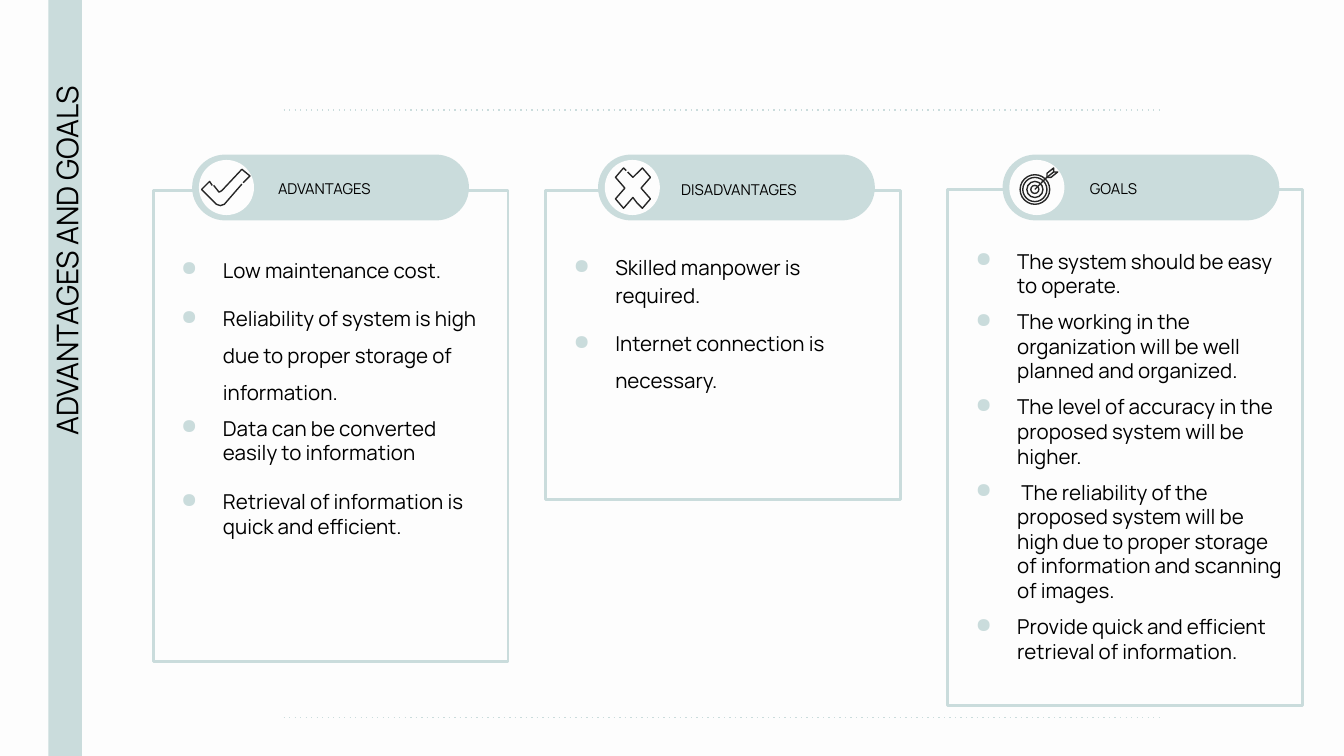
from lxml.etree import SubElement
from pptx import Presentation
from pptx.dml.color import RGBColor
from pptx.enum.shapes import MSO_CONNECTOR, MSO_SHAPE
from pptx.enum.text import MSO_ANCHOR, PP_ALIGN
from pptx.oxml.ns import qn
from pptx.util import Emu, Inches, Pt

PX = 9144  # EMU per px, 100 px to the inch
SAGE = RGBColor(0xCA, 0xDC, 0xDC)
PAPER = RGBColor(0xFD, 0xFD, 0xFD)
INK = RGBColor(0x26, 0x26, 0x26)
BLACK = RGBColor(0, 0, 0)

CARD_WIDTH, BODY_WIDTH, BODY_SHIFT = 264, 271, 8
BADGE_WIDTH, BADGE_HEIGHT, DISC_SIZE = 206, 49, 41
ICON_LINE = 0.75

CHECK_STROKES = [
    [(158, 138), (156, 135), (150, 141), (161, 152), (164, 153), (167, 152), (180, 137)],
    [(159, 138), (163, 143), (165, 142), (180, 126), (186, 131), (181, 136)],
]
CROSS_STROKES = [
    [(467, 128), (471, 132), (478, 125), (484, 132), (477, 140), (484, 148),
     (478, 155), (474, 151)],
    [(466, 127), (464, 125), (458, 132), (465, 140), (458, 148), (464, 155),
     (471, 147), (474, 151)],
]
ARROW_STROKES = [
    [(770, 141), (779, 132), (784, 128)],
    [(779, 132), (779, 129), (784, 125), (784, 128), (787, 128), (782, 132), (779, 132)],
]
TARGET_CENTER, TARGET_RADII = (770, 141), (11, 9, 6, 3)

SINGLE = {"space_after": Pt(6)}
LOOSE = {"line_spacing": 1.15, "space_after": Pt(6)}
WIDE = {"line_spacing": 1.5, "space_after": Pt(6)}

# Each card: heading and its place, frame, badge and body places, bullets
CARDS = [
    {"heading": "ADVANTAGES", "heading_at": (197, 127), "frame": (114, 142, 350),
     "badge": (143, 115), "body": (179, 304), "bullets": [
         ("Low maintenance cost.", LOOSE),
         ("Reliability of system is high due to proper storage of information.", WIDE),
         ("Data can be converted easily to information", {}),
         ("Retrieval of information is quick and efficient.", {"space_before": Pt(13)})]},
    {"heading": "DISADVANTAGES", "heading_at": (497, 128), "frame": (406, 142, 230),
     "badge": (445, 115), "body": (177, 304), "bullets": [
         ("Skilled manpower is required.", LOOSE),
         ("Internet connection is necessary.", WIDE)]},
    {"heading": "GOALS", "heading_at": (801, 127), "frame": (705, 141, 384),
     "badge": (746, 115), "body": (175, 323), "bullets": [
         ("The system should be easy to operate.", SINGLE),
         ("The working in the organization will be well planned and organized.", SINGLE),
         ("The level of accuracy in the proposed system will be higher.", SINGLE),
         (" The reliability of the proposed system will be high due to proper storage "
          "of information and scanning of images.", SINGLE),
         ("Provide quick and efficient retrieval of information.", SINGLE)]},
]


def px(*lengths):
    return [Emu(length * PX) for length in lengths]


def set_formats(target, formats):
    for name, value in formats.items():
        setattr(target, name, value)


def style_shape(shape, fill=None, line=None, width=1.5):
    shape.shadow.inherit = False
    if fill is None:
        shape.fill.background()
    else:
        shape.fill.solid()
        shape.fill.fore_color.rgb = fill
    if line is None:
        shape.line.fill.background()
    else:
        shape.line.color.rgb = line
        shape.line.width = Pt(width)


def add_preset(slide, kind, box, **style):
    shape = slide.shapes.add_shape(kind, *px(*box))
    style_shape(shape, **style)
    return shape


def add_stroke(slide, points):
    builder = slide.shapes.build_freeform(*points[0], scale=PX)
    builder.add_line_segments(points[1:], close=False)
    style_shape(builder.convert_to_shape(), line=INK, width=ICON_LINE)


def add_dotted_rule(slide, left, right, top):
    rule = slide.shapes.add_connector(MSO_CONNECTOR.STRAIGHT, *px(left, top, right, top))
    rule.line.color.rgb = SAGE
    rule.line.width = Pt(0.75)
    properties = rule._element.spPr
    SubElement(properties.find(qn("a:ln")), qn("a:prstDash"), val="dot")
    SubElement(properties, qn("a:effectLst"))


def add_bullet(paragraph):
    properties = paragraph._p.get_or_add_pPr()
    left, hanging = px(50, -31)
    properties.set("marL", str(left))
    properties.set("indent", str(hanging))
    color = SubElement(properties, qn("a:buClr"))
    SubElement(color, qn("a:srgbClr"), val=str(SAGE))
    SubElement(properties, qn("a:buChar"), char="●")


def add_text(slide, box, items, size, bulleted=False, anchor=MSO_ANCHOR.TOP):
    text_box = slide.shapes.add_textbox(*px(*box))
    frame = text_box.text_frame
    margin, = px(10)
    set_formats(frame, {"word_wrap": True, "vertical_anchor": anchor,
                        "margin_left": margin, "margin_right": margin,
                        "margin_top": margin, "margin_bottom": margin})
    for index, (text, formats) in enumerate(items):
        paragraph = frame.add_paragraph() if index else frame.paragraphs[0]
        if bulleted:
            add_bullet(paragraph)
        set_formats(paragraph, formats)
        run = paragraph.add_run()
        run.text = text
        set_formats(run.font, {"name": "Manrope", "size": Pt(size)})
        run.font.color.rgb = BLACK
    return text_box


def add_card(slide, card):
    left, top, height = card["frame"]
    add_preset(slide, MSO_SHAPE.RECTANGLE, (left, top, CARD_WIDTH, height), line=SAGE)
    body_top, body_height = card["body"]
    add_text(slide, (left - BODY_SHIFT, body_top, BODY_WIDTH, body_height),
             card["bullets"], 11, bulleted=True)
    # Badge with a disc for the icon
    left, top = card["badge"]
    badge = add_preset(slide, MSO_SHAPE.ROUNDED_RECTANGLE,
                       (left, top, BADGE_WIDTH, BADGE_HEIGHT), fill=SAGE)
    badge.adjustments[0] = 0.5
    add_preset(slide, MSO_SHAPE.OVAL, (left + 5, top + 4, DISC_SIZE, DISC_SIZE), fill=PAPER)
    add_text(slide, (*card["heading_at"], 175, 26), [(card["heading"], {})], 8)


def add_icons(slide):
    center_x, center_y = TARGET_CENTER
    for radius in TARGET_RADII:
        add_preset(slide, MSO_SHAPE.OVAL,
                   (center_x - radius, center_y - radius, 2 * radius, 2 * radius),
                   line=INK, width=ICON_LINE)
    for points in CHECK_STROKES + CROSS_STROKES + ARROW_STROKES:
        add_stroke(slide, points)


def main():
    presentation = Presentation()
    set_formats(presentation, {"slide_width": Inches(10), "slide_height": Inches(5.625)})
    slide = presentation.slides.add_slide(presentation.slide_layouts[6])
    slide.background.fill.solid()
    slide.background.fill.fore_color.rgb = PAPER

    # Side bar with the upright title
    bar = add_preset(slide, MSO_SHAPE.RECTANGLE, (36, 0, 25, 562), fill=SAGE)
    bar.height = presentation.slide_height
    title = add_text(slide, (-186, 278, 471, 23),
                     [("ADVANTAGES AND GOALS", {"alignment": PP_ALIGN.RIGHT})],
                     16, anchor=MSO_ANCHOR.MIDDLE)
    title.rotation = 270

    # Rules above and below the cards
    for top in (82, 534):
        add_dotted_rule(slide, 211, 865, top)

    for card in CARDS:
        add_card(slide, card)
    add_icons(slide)
    presentation.save("out.pptx")


if __name__ == "__main__":
    main()
